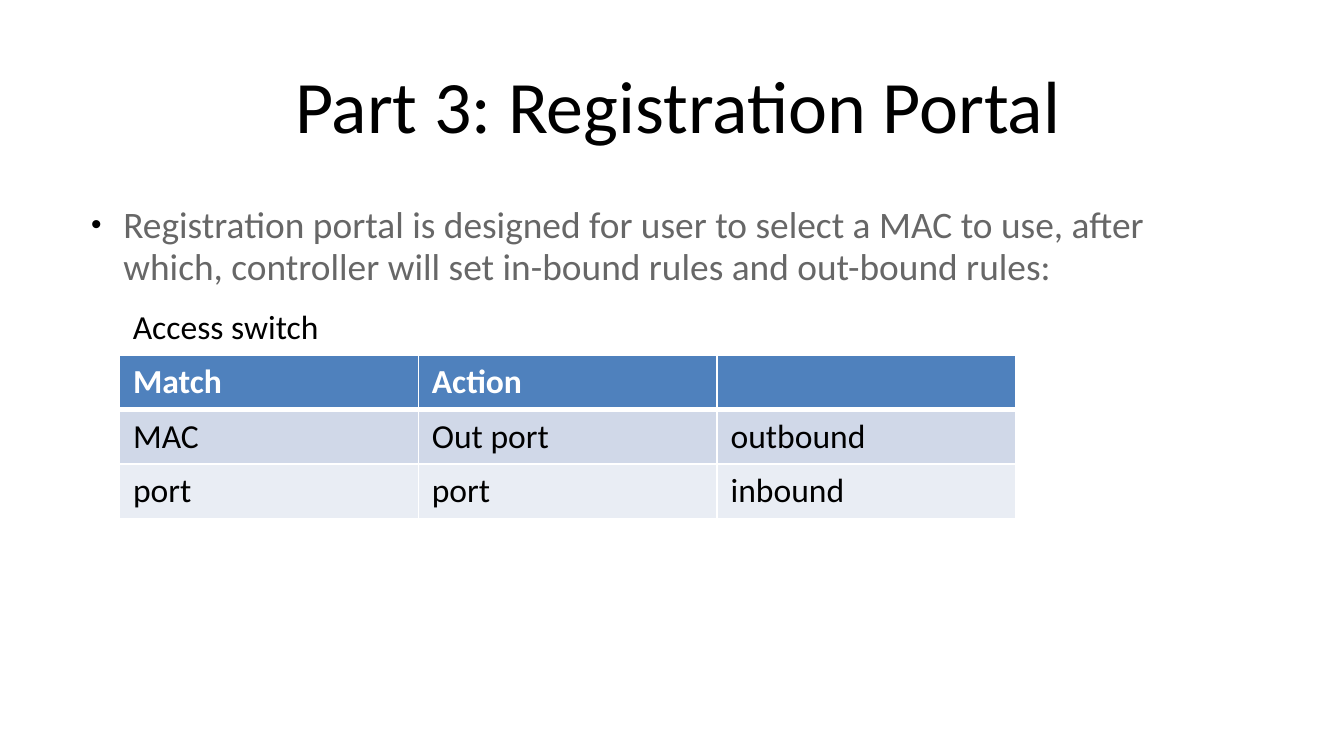
"""Build the Registration Portal slide with its access switch rule table."""
from lxml.etree import SubElement
from pptx import Presentation
from pptx.dml.color import RGBColor
from pptx.enum.text import MSO_ANCHOR, PP_ALIGN
from pptx.oxml.ns import qn
from pptx.util import Inches, Pt


def color(value):
    return RGBColor.from_string(value)


def add_text(tf, text, size=18, fill="000000", bold=False, align=PP_ALIGN.LEFT,
             anchor=MSO_ANCHOR.TOP):
    tf.word_wrap = True
    tf.vertical_anchor = anchor
    p = tf.paragraphs[0]
    p.alignment = align
    r = p.add_run()
    r.text = text
    r.font.name = "Calibri"
    r.font.size = Pt(size)
    r.font.bold = bold
    r.font.color.rgb = color(fill)
    return p


prs = Presentation()
prs.slide_width = Inches(10)
prs.slide_height = Inches(10) * 9 // 16
s = prs.slides.add_slide(prs.slide_layouts[6])

body = s.shapes.add_textbox(Inches(0.51), Inches(1.47), Inches(8.66), Inches(3.46))
p = add_text(
    body.text_frame,
    "Registration portal is designed for user to select a MAC to use, after which, "
    "controller will set in-bound rules and out-bound rules:",
    size=20, fill="676767")
p.line_spacing = 0.95
pPr = p._p.get_or_add_pPr()
pPr.set("marL", str(Inches(0.31)))
pPr.set("indent", str(Inches(-0.24)))
SubElement(SubElement(pPr, qn("a:buClr")), qn("a:srgbClr"), val="000000")
SubElement(pPr, qn("a:buSzPct"), val="80000")
SubElement(pPr, qn("a:buFont"), typeface="Arial")
SubElement(pPr, qn("a:buChar"), char="•")

title = s.shapes.add_textbox(Inches(0.48), Inches(0.37), Inches(9.13), Inches(0.8))
add_text(title.text_frame, "Part 3: Registration Portal", size=39.6,
         align=PP_ALIGN.CENTER, anchor=MSO_ANCHOR.MIDDLE)

rows = [
    ("Match", "Action", ""),
    ("MAC", "Out port", "outbound"),
    ("port", "port", "inbound"),
]
row_fills = ["4F81BD", "D0D8E8", "E9EDF4"]
header_borders = {"a:lnL": 1, "a:lnR": 1, "a:lnT": 1, "a:lnB": 3}
table = s.shapes.add_table(3, 3, Inches(0.89), Inches(2.64),
                           Inches(6.67), Inches(1.22)).table
for i, (row, row_fill) in enumerate(zip(rows, row_fills)):
    for j, text in enumerate(row):
        cell = table.cell(i, j)
        if i == 0:
            tcPr = cell._tc.get_or_add_tcPr()
            for tag, width in header_borders.items():
                ln = SubElement(tcPr, qn(tag), w=str(Pt(width)))
                SubElement(SubElement(ln, qn("a:solidFill")), qn("a:srgbClr"), val="FFFFFF")
        cell.fill.solid()
        cell.fill.fore_color.rgb = color(row_fill)
        if text:
            add_text(cell.text_frame, text, bold=i == 0,
                     fill="FFFFFF" if i == 0 else "000000")

caption = s.shapes.add_textbox(Inches(0.89), Inches(2.23), Inches(2.36), Inches(0.4))
add_text(caption.text_frame, "Access switch")

prs.save("out.pptx")
